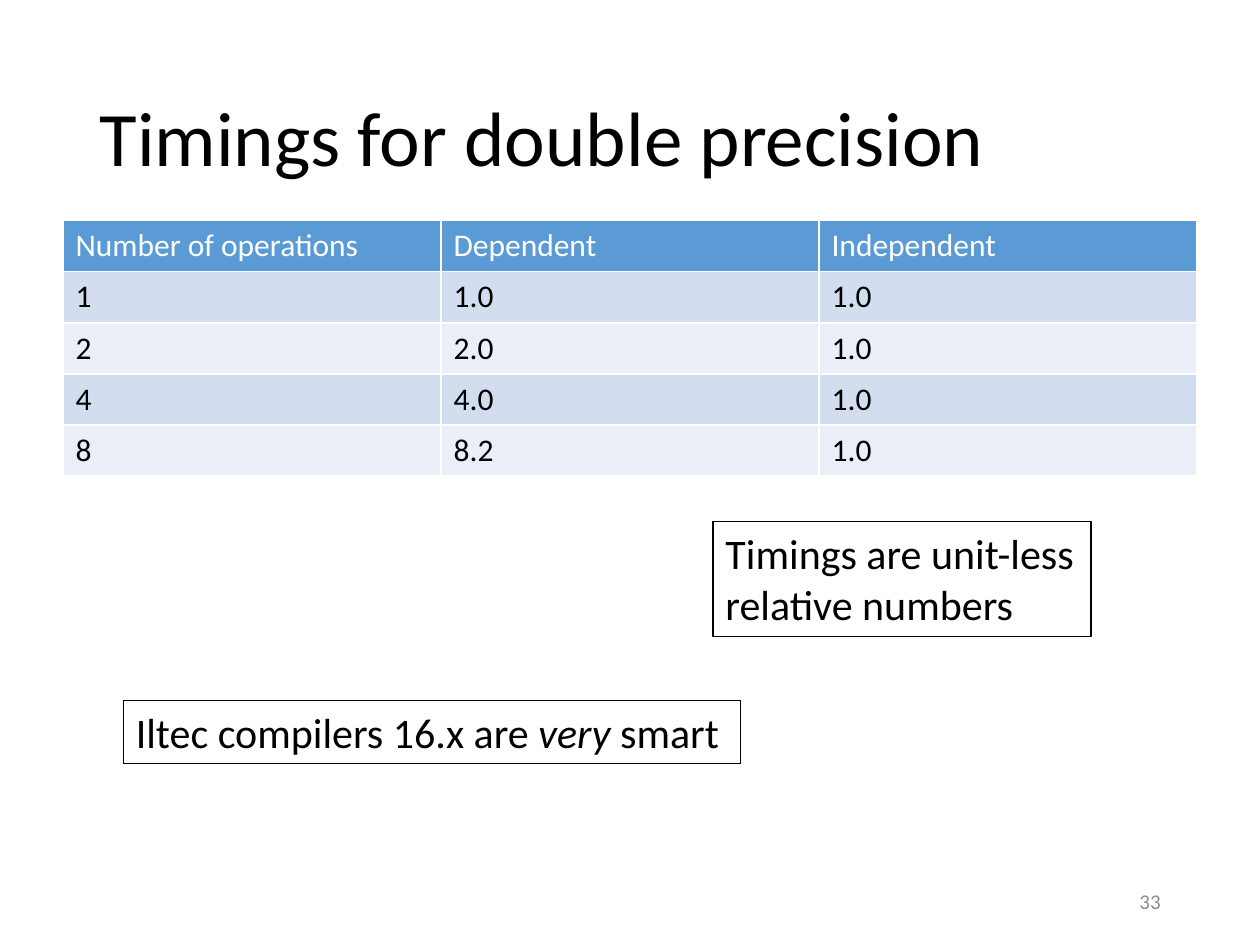
from lxml import etree
from pptx import Presentation
from pptx.dml.color import RGBColor
from pptx.enum.text import MSO_ANCHOR, MSO_AUTO_SIZE, PP_ALIGN
from pptx.oxml.ns import qn
from pptx.util import Inches, Pt

BLACK = RGBColor(0, 0, 0)
WHITE = RGBColor(255, 255, 255)
GRAY = RGBColor(0x8C, 0x8C, 0x8C)
BLUE = RGBColor(0x5B, 0x9B, 0xD5)
PALE = RGBColor(0xD2, 0xDE, 0xEF)
LIGHT = RGBColor(0xEA, 0xEF, 0xF7)
LEFT = PP_ALIGN.LEFT
RIGHT = PP_ALIGN.RIGHT
MIDDLE = MSO_ANCHOR.MIDDLE
GROW = MSO_AUTO_SIZE.SHAPE_TO_FIT_TEXT


class Deck:
    face = "Calibri"

    def __init__(self, prs):
        self.slide = prs.slides.add_slide(prs.slide_layouts[5])

    def style(self, para, size, color, align=LEFT):
        para.alignment = align
        font = para.font
        font.name = self.face
        font.size = Pt(size)
        font.color.rgb = color
        font.bold = False

    def title(self, text, box):
        shape = self.slide.shapes.title
        shape.left, shape.top, shape.width, shape.height = map(Inches, box)
        frame = shape.text_frame
        frame.text = text
        frame.vertical_anchor = MIDDLE
        para = frame.paragraphs[0]
        para.line_spacing = 0.9
        self.style(para, 44, BLACK)

    def border(self, cell):
        props = cell._tc.get_or_add_tcPr()
        for spot, side in enumerate(("lnL", "lnR", "lnT", "lnB")):
            line = etree.Element(qn("a:" + side), w=str(Pt(1)))
            fill = etree.SubElement(line, qn("a:solidFill"))
            etree.SubElement(fill, qn("a:srgbClr"), val=str(WHITE))
            props.insert(spot, line)

    def table(self, rows, box):
        spot = map(Inches, box)
        grid = self.slide.shapes.add_table(len(rows), len(rows[0]), *spot).table
        for r, row in enumerate(rows):
            fill = BLUE if r == 0 else PALE if r % 2 else LIGHT
            for c, text in enumerate(row):
                cell = grid.cell(r, c)
                cell.text = text
                cell.fill.solid()
                cell.fill.fore_color.rgb = fill
                self.border(cell)
                para = cell.text_frame.paragraphs[0]
                self.style(para, 18, BLACK if r else WHITE)

    def text(self, text, box, size, color, align=LEFT):
        shape = self.slide.shapes.add_textbox(*map(Inches, box))
        frame = shape.text_frame
        frame.word_wrap = True
        para = frame.paragraphs[0]
        para.text = text
        self.style(para, size, color, align)
        return shape

    def note(self, text, box):
        shape = self.text(text, box, 24, BLACK)
        shape.line.color.rgb = BLACK
        shape.line.width = Pt(0.75)
        shape.text_frame.word_wrap = False
        shape.text_frame.auto_size = GROW
        return shape

    def page(self, text, box):
        shape = self.text(text, box, 12, GRAY, RIGHT)
        shape.text_frame.vertical_anchor = MIDDLE


def main():
    prs = Presentation()
    prs.slide_width = Inches(10)
    prs.slide_height = Inches(7.5)
    deck = Deck(prs)
    deck.title("Timings for double precision", (0.69, 0.4, 8.62, 1.45))
    rows = [
        ("Number of operations", "Dependent", "Independent"),
        ("1", "1.0", "1.0"),
        ("2", "2.0", "1.0"),
        ("4", "4.0", "1.0"),
        ("8", "8.2", "1.0"),
    ]
    deck.table(rows, (0.5, 1.75, 9, 2.03))
    deck.page("33", (7.06, 6.95, 2.25, 0.4))
    units = deck.note("Timings are unit-less\vrelative numbers", (5.66, 4.14, 3, 0.91))
    units.fill.solid()
    units.fill.fore_color.rgb = WHITE
    smart = deck.note("Iltec compilers 16.x are ", (0.98, 5.56, 4.9, 0.5))
    para = smart.text_frame.paragraphs[0]
    very = para.add_run()
    very.text = "very"
    very.font.italic = True
    para.add_run().text = " smart"
    prs.save("out.pptx")


if __name__ == "__main__":
    main()
